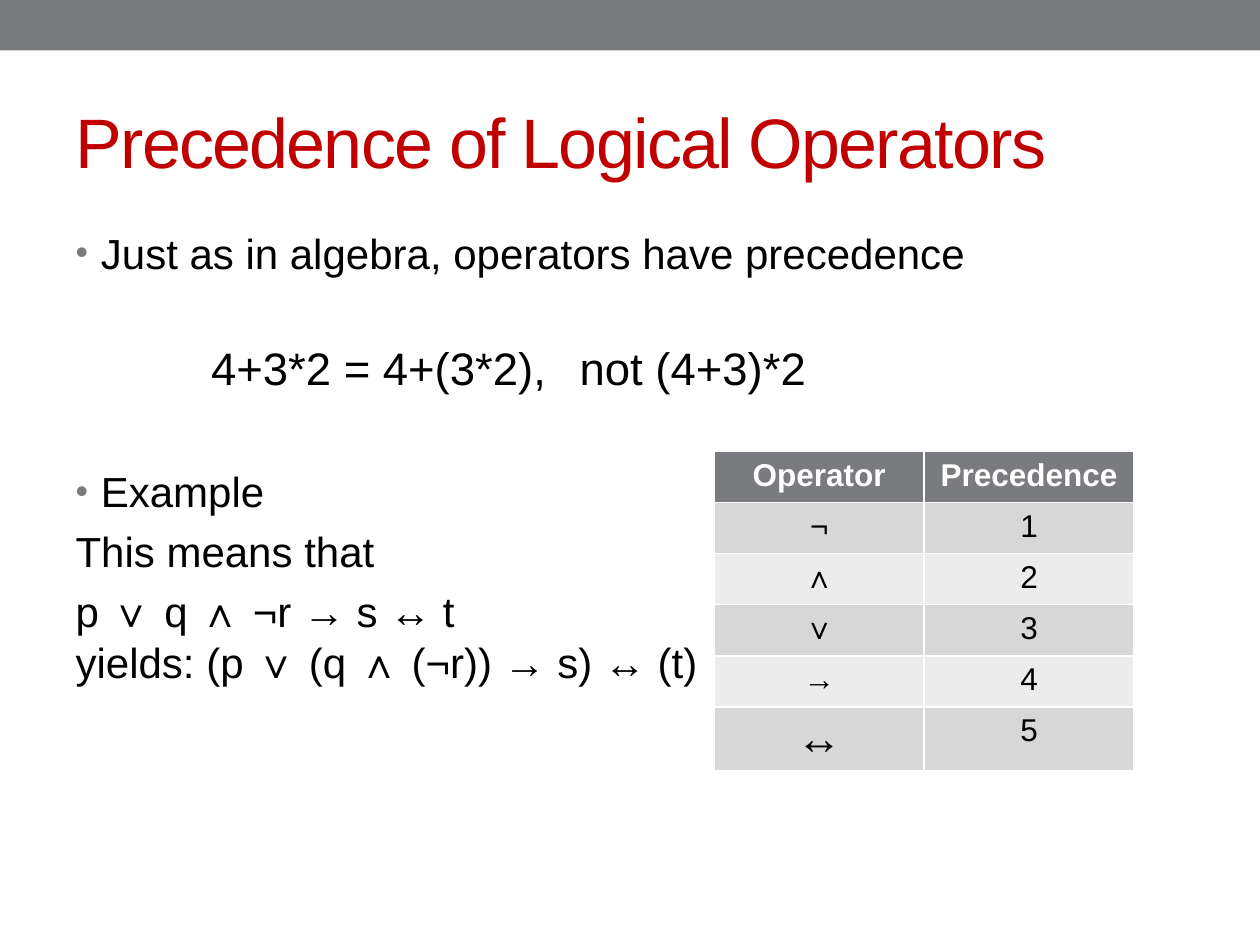
from dataclasses import dataclass

from lxml import etree
from pptx import Presentation
from pptx import util as u
from pptx.dml.color import RGBColor
from pptx.enum import shapes, text
from pptx.oxml.ns import qn

GRAY, RED, BLACK, WHITE = "797B7E", "C00000", "000000", "FFFFFF"
BANDS = ("D7D7D8", "ECECEC")
FONT = "Arial"


@dataclass
class Line:
    words: str
    before: float = 5.5
    size: float = 24
    bullet: bool = False
    first_indent: float = 0
    tab: float = 0


@dataclass
class Operator:
    symbol: str
    precedence: int
    size: float = 18


LINES = [
    Line("Just as in algebra, operators have precedence", before=2.5, bullet=True),
    Line("4+3*2 = 4+(3*2),\tnot (4+3)*2", before=35.5, size=26,
         first_indent=2.73, tab=11.78),
    Line("Example", before=41, bullet=True),
    Line("This means that"),
    Line("p ∨ q ∧ ¬r → s ↔ t\vyields: (p ∨ (q ∧ (¬r)) → s) ↔ (t)"),
]

OPERATORS = [
    Operator("¬", 1),
    Operator("∧", 2),
    Operator("∨", 3),
    Operator("→", 4),
    Operator("↔", 5, size=26),
]


def paint(target, color: str) -> None:
    """Give a fill or a font one solid colour."""
    if hasattr(target, "solid"):
        target.solid()
        target = target.fore_color
    else:
        target = target.color
    target.rgb = RGBColor.from_string(color)


def assign(item, values: dict) -> None:
    for name, value in values.items():
        setattr(item, name, value)


def place(item, left: float, top: float, width: float, height: float) -> None:
    """Move and size an object, in centimetres."""
    assign(item, {"left": u.Cm(left), "top": u.Cm(top),
                  "width": u.Cm(width), "height": u.Cm(height)})


def format_font(font, size: float, color: str, bold: bool = False) -> None:
    assign(font, {"name": FONT, "size": u.Pt(size), "bold": bold})
    paint(font, color)


def add_child(parent, tag: str, **attributes: str):
    return etree.SubElement(parent, qn(tag), attributes)


def set_indent_and_bullet(para, line: Line) -> None:
    props = para._p.get_or_add_pPr()
    margin = u.Cm(0.51) if line.bullet else 0
    indent = -margin if line.bullet else u.Cm(line.first_indent)
    props.set("marL", str(margin))
    props.set("indent", str(indent))
    if line.bullet:
        add_child(add_child(props, "a:buClr"), "a:srgbClr", val=GRAY)
        add_child(props, "a:buSzPct", val="85000")
        add_child(props, "a:buFont", typeface=FONT)
        add_child(props, "a:buChar", char="•")
    else:
        add_child(props, "a:buNone")
    if line.tab:
        stops = add_child(props, "a:tabLst")
        add_child(stops, "a:tab", pos=str(u.Cm(line.tab)), algn="l")


def draw_bar(page) -> None:
    bar = page.shapes.add_shape(shapes.MSO_SHAPE.RECTANGLE, 0, 0, 0, 0)
    place(bar, 0, 0, 25.4, 1.02)
    bar.shadow.inherit = False
    paint(bar.fill, GRAY)
    bar.line.fill.background()


def write_title(title) -> None:
    place(title, 1.27, 1.47, 22.86, 2.74)
    frame = title.text_frame
    frame.vertical_anchor = text.MSO_ANCHOR.MIDDLE
    para = frame.paragraphs[0]
    para.alignment = text.PP_ALIGN.LEFT
    span = para.add_run()
    span.text = "Precedence of Logical Operators"
    format_font(span.font, 40, RED)
    span.font._element.set("spc", "-100")


def write_body(body, lines: list[Line]) -> None:
    place(body, 1.27, 4.45, 22.86, 13.54)
    frame = body.text_frame
    for index, line in enumerate(lines):
        para = frame.add_paragraph() if index else frame.paragraphs[0]
        para.text = line.words
        para.space_before = u.Pt(line.before)
        set_indent_and_bullet(para, line)
        for span in para.runs:
            format_font(span.font, line.size, BLACK)


def write_cell(cell, words: str, fill: str, size: float = 18,
               color: str = BLACK, bold: bool = False) -> None:
    paint(cell.fill, fill)
    para = cell.text_frame.paragraphs[0]
    para.alignment = text.PP_ALIGN.CENTER
    span = para.add_run()
    span.text = words
    format_font(span.font, size, color, bold)


def draw_table(page, operators: list[Operator]) -> None:
    frame = page.shapes.add_table(len(operators) + 1, 2, u.Cm(14.4), u.Cm(9.1),
                                  u.Cm(8.46), u.Cm(6.18))
    table = frame.table
    for row in table.rows:
        row.height = u.Cm(1.03)
    for column, heading in enumerate(("Operator", "Precedence")):
        write_cell(table.cell(0, column), heading, GRAY, color=WHITE, bold=True)
    for index, operator in enumerate(operators):
        band = BANDS[index % 2]
        write_cell(table.cell(index + 1, 0), operator.symbol, band, operator.size)
        write_cell(table.cell(index + 1, 1), str(operator.precedence), band)


def main() -> None:
    deck = Presentation()
    assign(deck, {"slide_width": u.Cm(25.4), "slide_height": u.Cm(19.05)})
    page = deck.slides.add_slide(deck.slide_layouts[1])
    draw_bar(page)
    write_title(page.shapes.title)
    write_body(page.placeholders[1], LINES)
    draw_table(page, OPERATORS)
    deck.save("out.pptx")


if __name__ == "__main__":
    main()
